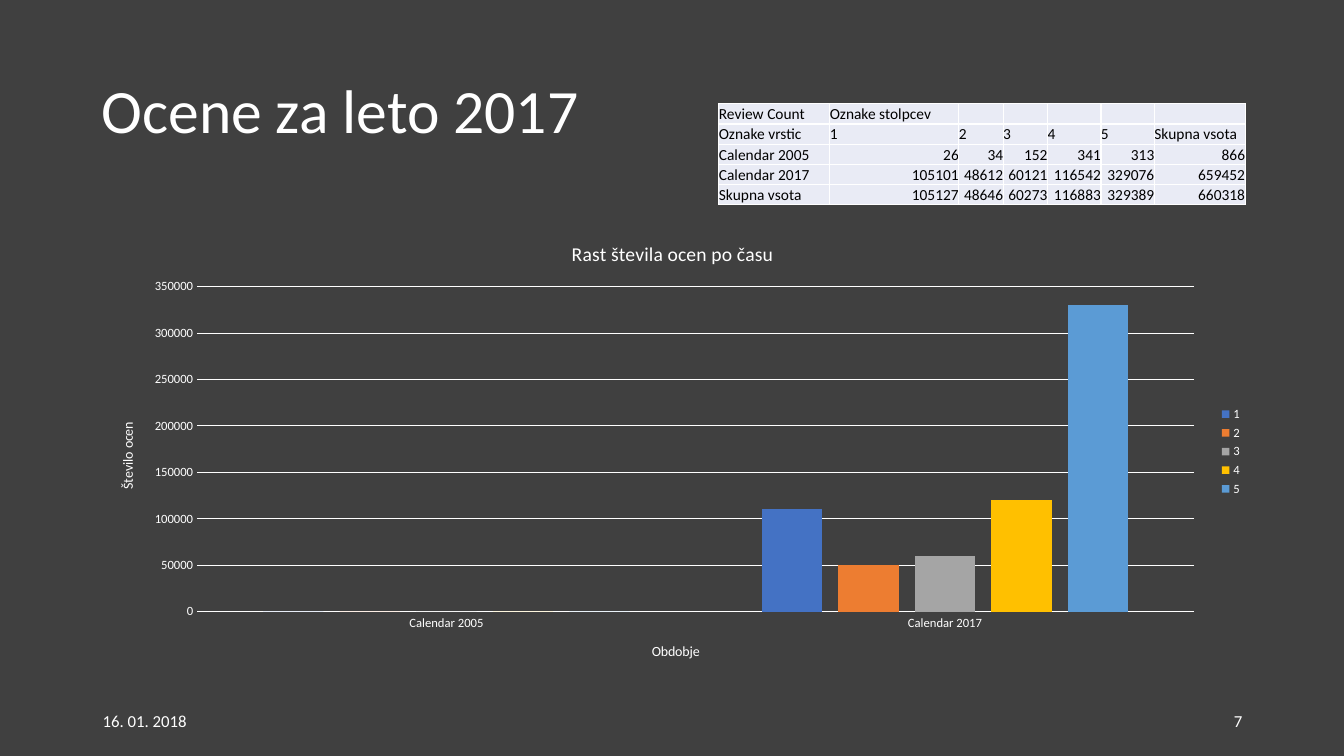
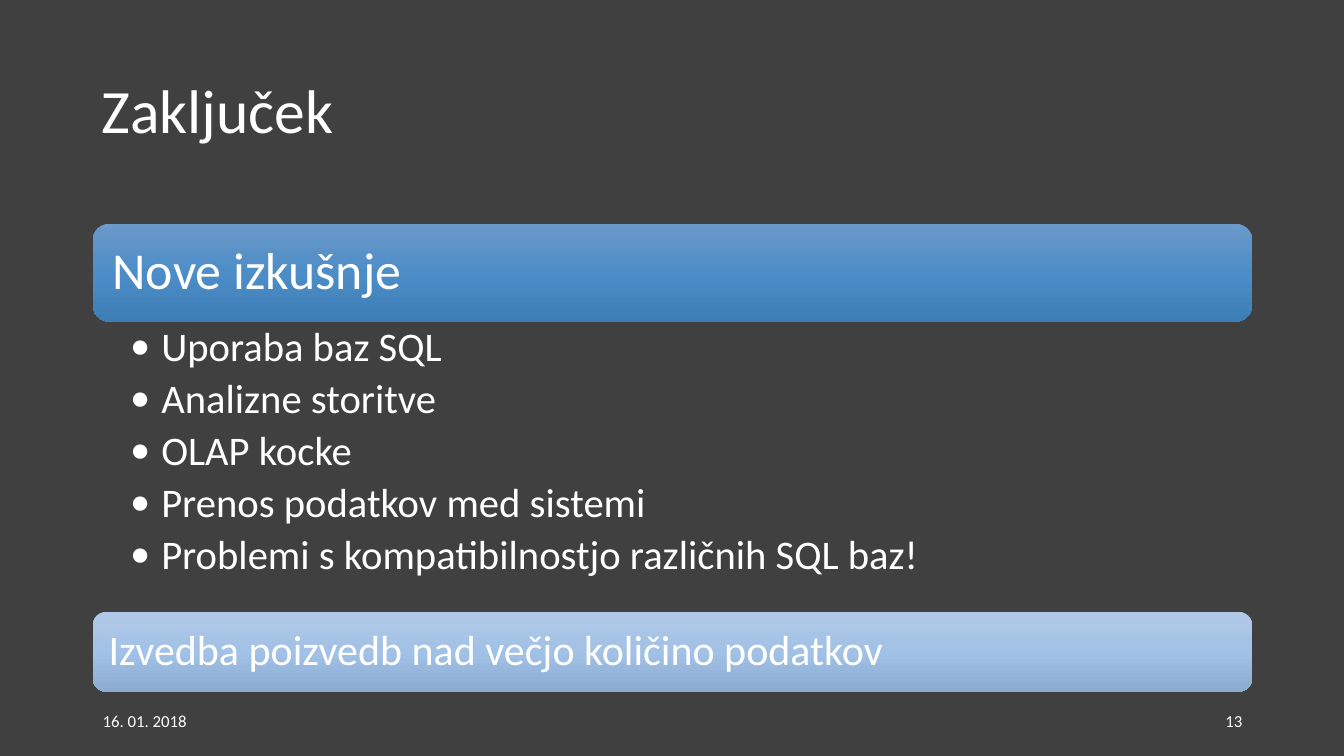
from dataclasses import dataclass

from lxml import etree
from pptx import Presentation
from pptx.chart.data import CategoryChartData
from pptx.dml.color import RGBColor
from pptx.enum.chart import XL_CHART_TYPE, XL_LEGEND_POSITION, XL_TICK_MARK
from pptx.enum.shapes import MSO_SHAPE
from pptx.enum.text import MSO_ANCHOR, PP_ALIGN
from pptx.oxml.ns import qn
from pptx.util import Inches, Pt

COLUMN = XL_CHART_TYPE.COLUMN_CLUSTERED
LEGEND_RIGHT = XL_LEGEND_POSITION.RIGHT
NO_TICK = XL_TICK_MARK.NONE
ROUNDED = MSO_SHAPE.ROUNDED_RECTANGLE
TOP, MIDDLE, BOTTOM = MSO_ANCHOR.TOP, MSO_ANCHOR.MIDDLE, MSO_ANCHOR.BOTTOM
LEFT, RIGHT = PP_ALIGN.LEFT, PP_ALIGN.RIGHT

FONT = "Calibri"
COLORS = {"background": "404040", "text": "FFFFFF", "cell": "E9EBF5", "cell_text": "000000"}
SERIES_COLORS = ["4472C4", "ED7D31", "A5A5A5", "FFC000", "5B9BD5"]
MARGIN, CONTENT_WIDTH = 0.92, 11.5
DATE = "16. 01. 2018"

HEADER = ["Oznake vrstic", "1", "2", "3", "4", "5", "Skupna vsota"]
RATINGS = {
    "Calendar 2005": [26, 34, 152, 341, 313],
    "Calendar 2017": [105101, 48612, 60121, 116542, 329076],
}
COLUMN_WIDTHS = [1.1, 1.28, 0.44, 0.44, 0.53, 0.53, 0.9]
ROW_HEIGHT = 0.2

LESSONS = [
    "Uporaba baz SQL",
    "Analizne storitve",
    "OLAP kocke",
    "Prenos podatkov med sistemi",
    "Problemi s kompatibilnostjo različnih SQL baz!",
]


@dataclass
class Band:
    text: str
    top: float
    height: float
    size: float
    inset: float
    stops: list[str]


BANDS = [
    Band("Nove izkušnje", 2.22, 0.97, 37, 0.15, ["6B99C9", "4D8DC7", "3E7EB7"]),
    Band("Izvedba poizvedb nad večjo količino podatkov", 6.07, 0.79, 30, 0.12,
         ["B1C9E7", "A2C1E6", "8CABD1"]),
]


def rgb(value: str) -> RGBColor:
    return RGBColor.from_string(value)


def write(tf, *lines: str, size: float, color: str = COLORS["text"], align=LEFT,
          spacing: float = 1.0, after: float = 0, bullet: bool = False) -> None:
    for i, line in enumerate(lines):
        p = tf.add_paragraph() if i else tf.paragraphs[0]
        p.alignment = align
        p.line_spacing = spacing
        p.space_after = Pt(after)
        if bullet:
            pPr = p._p.get_or_add_pPr()
            pPr.set("marL", str(Inches(0.31)))
            pPr.set("indent", str(Inches(-0.31)))
            etree.SubElement(pPr, qn("a:buFont"), typeface=FONT)
            etree.SubElement(pPr, qn("a:buChar"), char="•")
        r = p.add_run()
        r.text = line
        r.font.name, r.font.size, r.font.bold = FONT, Pt(size), False
        r.font.color.rgb = rgb(color)


def set_frame(frame, anchor, insets: tuple[float, float, float, float]) -> None:
    frame.vertical_anchor = anchor
    (frame.margin_left, frame.margin_top,
     frame.margin_right, frame.margin_bottom) = map(Inches, insets)


def add_text(s, box: tuple[float, float, float, float], *lines: str, anchor=MIDDLE,
             insets=(0.1, 0.05, 0.1, 0.05), **fmt) -> None:
    tf = s.shapes.add_textbox(*map(Inches, box)).text_frame
    tf.word_wrap = True
    set_frame(tf, anchor, insets)
    write(tf, *lines, **fmt)


def add_slide(prs, title: str, number: int):
    s = prs.slides.add_slide(prs.slide_layouts[6])
    s.background.fill.solid()
    s.background.fill.fore_color.rgb = rgb(COLORS["background"])
    add_text(s, (0.91, 0.4, 11.51, 1.45), title, size=44, spacing=0.9)
    add_text(s, (MARGIN, 6.95, 3, 0.4), DATE, size=12)
    add_text(s, (MARGIN + CONTENT_WIDTH - 3, 6.95, 3, 0.4), str(number), size=12, align=RIGHT)
    return s


def place(element, **position: float) -> None:
    layout = element.find(qn("c:layout"))
    if layout is None:
        layout = etree.Element(qn("c:layout"))
        element.insert(0, layout)
    manual = etree.SubElement(layout, qn("c:manualLayout"))
    if "w" in position:
        etree.SubElement(manual, qn("c:layoutTarget"), val="inner")
    for mode in ("xMode", "yMode"):
        etree.SubElement(manual, qn(f"c:{mode}"), val="edge")
    for key, value in position.items():
        etree.SubElement(manual, qn(f"c:{key}"), val=str(value))


def set_line(line, color: str) -> None:
    line.color.rgb = rgb(color)
    line.width = Pt(0.75)


def add_ratings_chart(s) -> None:
    data = CategoryChartData()
    data.categories = list(RATINGS)
    for name, values in zip(HEADER[1:-1], zip(*RATINGS.values())):
        data.add_series(name, [round(value, -4) for value in values])
    box = map(Inches, (MARGIN, 2.21, CONTENT_WIDTH, 4.54))
    chart = s.shapes.add_chart(COLUMN, *box, data).chart
    chart.font.name, chart.font.size = FONT, Pt(9)
    chart.font.color.rgb = rgb(COLORS["text"])
    chart.has_legend = True
    chart.legend.position = LEGEND_RIGHT
    chart.legend.include_in_layout = False

    plot = chart.plots[0]
    plot.gap_width, plot.overlap, plot.vary_by_categories = 219, -27, False
    for series, color in zip(plot.series, SERIES_COLORS):
        series.format.fill.solid()
        series.format.fill.fore_color.rgb = rgb(color)
        series.invert_if_negative = False

    cat, val = chart.category_axis, chart.value_axis
    for axis in (cat, val):
        axis.major_tick_mark = axis.minor_tick_mark = NO_TICK
    set_line(cat.format.line, COLORS["text"])
    set_line(val.major_gridlines.format.line, COLORS["text"])
    val.format.line.fill.background()
    val.minimum_scale, val.maximum_scale, val.major_unit = 0, 350000, 50000

    titles = [
        (chart.chart_title, "Rast števila ocen po času", 14, 0.41, 0.03),
        (cat.axis_title, "Obdobje", 10, 0.48, 0.91),
        (val.axis_title, "Število ocen", 10, 0.02, 0.43),
    ]
    for title, text, size, x, y in titles:
        write(title.text_frame, text, size=size)
        place(title._element, x=x, y=y)
    body = val.axis_title.text_frame._txBody.find(qn("a:bodyPr"))
    body.set("rot", "-5400000")
    body.set("vert", "horz")
    place(chart._chartSpace.find(f".//{qn('c:plotArea')}"), x=0.09, y=0.14, w=0.86, h=0.71)


def format_cell(cell, text: str, align) -> None:
    set_frame(cell, BOTTOM, (0, 0, 0, 0))
    if text:
        write(cell.text_frame, text, size=11, color=COLORS["cell_text"], align=align)
    else:
        etree.SubElement(cell.text_frame.paragraphs[0]._p, qn("a:endParaRPr"), sz="1100")
    tcPr = cell._tc.get_or_add_tcPr()
    for side in "LRTB":
        ln = etree.SubElement(tcPr, qn(f"a:ln{side}"), w=str(Pt(1)))
        fill = etree.SubElement(ln, qn("a:solidFill"))
        etree.SubElement(fill, qn("a:srgbClr"), val=COLORS["text"])
    cell.fill.solid()
    cell.fill.fore_color.rgb = rgb(COLORS["cell"])


def add_ratings_table(s) -> None:
    counts = [*RATINGS.values(), [sum(column) for column in zip(*RATINGS.values())]]
    names = [*RATINGS, "Skupna vsota"]
    rows = [["Review Count", "Oznake stolpcev"] + [""] * 5, HEADER]
    rows += [[name, *map(str, values), str(sum(values))] for name, values in zip(names, counts)]
    box = (7.13, 1.03, sum(COLUMN_WIDTHS), ROW_HEIGHT * len(rows))
    table = s.shapes.add_table(len(rows), len(HEADER), *map(Inches, box)).table
    table.first_row = table.horz_banding = False
    for column, width in zip(table.columns, COLUMN_WIDTHS):
        column.width = Inches(width)
    for i, row in enumerate(rows):
        table.rows[i].height = Inches(ROW_HEIGHT)
        for j, text in enumerate(row):
            format_cell(table.cell(i, j), text, RIGHT if i > 1 and j else LEFT)


def add_band(s, band: Band) -> None:
    box = map(Inches, (MARGIN, band.top, CONTENT_WIDTH, band.height))
    sp = s.shapes.add_shape(ROUNDED, *box)
    sp.shadow.inherit = False
    sp.line.fill.background()
    sp.fill.gradient()
    sp.fill.gradient_angle = 270
    stops = sp._element.spPr.find(f".//{qn('a:gsLst')}")
    for stop in list(stops):
        stops.remove(stop)
    for i, color in enumerate(band.stops):
        stop = etree.SubElement(stops, qn("a:gs"), pos=str(i * 50000))
        etree.SubElement(stop, qn("a:srgbClr"), val=color)
    sp.text_frame.word_wrap = True
    set_frame(sp.text_frame, MIDDLE, (band.inset,) * 4)
    write(sp.text_frame, band.text, size=band.size, spacing=0.9)


def main() -> None:
    prs = Presentation()
    prs.slide_width, prs.slide_height = Inches(13.33), Inches(7.5)

    s = add_slide(prs, "Ocene za leto 2017", 7)
    add_ratings_chart(s)
    add_ratings_table(s)

    s = add_slide(prs, "Zaključek", 13)
    for band in BANDS:
        add_band(s, band)
    add_text(s, (MARGIN, 3.19, CONTENT_WIDTH, 2.76), *LESSONS, anchor=TOP,
             insets=(0.37, 0.05, 0.29, 0.05), size=29, spacing=0.9, after=5.8, bullet=True)

    prs.save("out.pptx")


if __name__ == "__main__":
    main()
